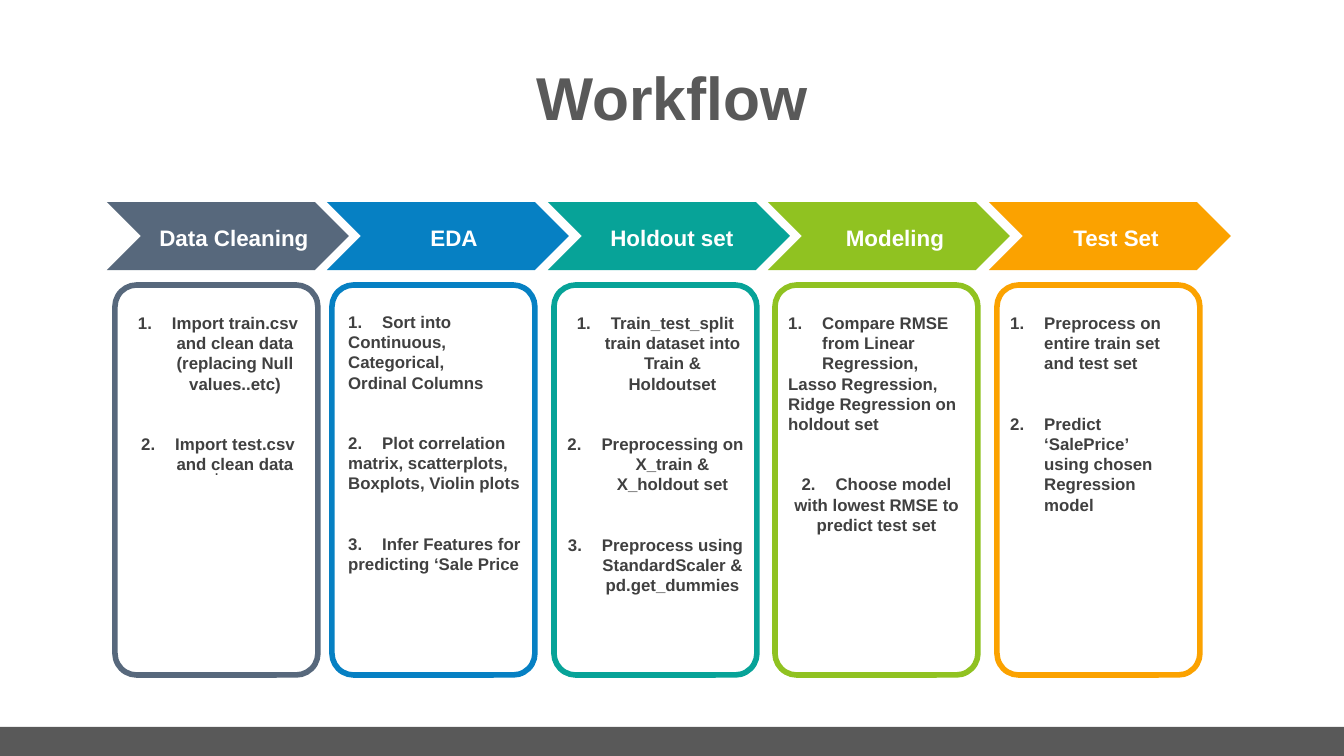
from dataclasses import dataclass

from lxml import etree
from pptx import Presentation
from pptx.dml.color import RGBColor
from pptx.enum.shapes import MSO_SHAPE
from pptx.enum.text import MSO_ANCHOR, PP_ALIGN
from pptx.oxml.ns import qn
from pptx.util import Emu, Pt

LEFT, CENTER = PP_ALIGN.LEFT, PP_ALIGN.CENTER
MIDDLE = MSO_ANCHOR.MIDDLE
RECTANGLE, CHEVRON, ROUNDED = MSO_SHAPE.RECTANGLE, MSO_SHAPE.CHEVRON, MSO_SHAPE.ROUNDED_RECTANGLE

EMU_PER_PX = 914400 / 134.4
PAGE_WIDTH, PAGE_HEIGHT = 1344, 756
FONT = "Arial"
WHITE, GREY, DARK = "FFFFFF", "595959", "404040"
NUMBER_INDENT = 34
ITEM_GAP = 21.6  # points, two text lines
CHEVRON_LEFT, CHEVRON_PITCH = 107, 220.4


@dataclass
class Item:
    text: str
    followers: tuple[str, ...] = ()  # lines that return to the left margin
    align: PP_ALIGN = CENTER


@dataclass
class Stage:
    name: str
    color: str
    card_left: int
    body_left: int
    body_top: int
    body_width: int
    items: list[Item]


STAGES = [
    Stage("Data Cleaning", "57687C", 115, 120, 306, 196, [
        Item("Import train.csv and clean data (replacing Null values..etc)"),
        Item("Import test.csv and clean data"),
    ]),
    Stage("EDA", "0680C3", 332, 335, 305, 203, [
        Item("Sort into", ("Continuous,", "Categorical,", "Ordinal Columns"), LEFT),
        Item("Plot correlation", ("matrix, scatterplots,", "Boxplots, Violin plots"), LEFT),
        Item("Infer Features for", ("predicting ‘Sale Price",), LEFT),
    ]),
    Stage("Holdout set ", "07A398", 554, 554, 306, 203, [
        Item("Train_test_split train dataset into Train & Holdoutset"),
        Item("Preprocessing on X_train & X_holdout set"),
        Item("Preprocess using StandardScaler & pd.get_dummies"),
    ]),
    Stage("Modeling", "90C221", 775, 775, 306, 203, [
        Item("Compare RMSE from Linear Regression,",
             ("Lasso Regression,", "Ridge Regression on holdout set"), LEFT),
        Item("Choose model", ("with lowest RMSE to predict test set",)),
    ]),
    Stage("Test Set", "FBA200", 997, 997, 306, 188, [
        Item("Preprocess on entire train set and test set", align=LEFT),
        Item("Predict ‘SalePrice’ using chosen Regression model", align=LEFT),
    ]),
]


def px(value: int) -> Emu:
    return Emu(round(value * EMU_PER_PX))


def rgb(color: str) -> RGBColor:
    return RGBColor.from_string(color)


def add_box(page, kind, left: int, top: int, width: int, height: int, fill: str, line: str = ""):
    box = page.shapes.add_shape(kind, px(left), px(top), px(width), px(height))
    box.shadow.inherit = False
    box.fill.solid()
    box.fill.fore_color.rgb = rgb(fill)
    if line:
        box.line.color.rgb = rgb(line)
        box.line.width = Pt(3)
    else:
        box.line.fill.background()
    return box


def add_frame(page, left: int, top: int, width: int, height: int):
    frame = page.shapes.add_textbox(px(left), px(top), px(width), px(height)).text_frame
    frame.word_wrap = True
    return frame


def write(para, text: str, size: float, color: str, align: PP_ALIGN, bold: bool = True) -> None:
    para.alignment = align
    span = para.add_run()
    span.text = text
    span.font.name = FONT
    span.font.size = Pt(size)
    span.font.bold = bold
    span.font.color.rgb = rgb(color)


def set_number(para, number: int) -> None:
    """Number a paragraph with a hanging indent."""
    properties = para._p.get_or_add_pPr()
    properties.set("marL", str(px(NUMBER_INDENT)))
    properties.set("indent", str(-px(NUMBER_INDENT)))
    etree.SubElement(properties, qn("a:buAutoNum"), type="arabicPeriod", startAt=str(number))


def add_items(page, stage: Stage) -> None:
    frame = add_frame(page, stage.body_left, stage.body_top, stage.body_width, 298)
    for number, item in enumerate(stage.items, 1):
        para = frame.paragraphs[0] if number == 1 else frame.add_paragraph()
        if number > 1:
            para.space_before = Pt(ITEM_GAP)
        write(para, item.text, 9, DARK, item.align)
        set_number(para, number)
        for text in item.followers:
            write(frame.add_paragraph(), text, 9, DARK, item.align)


def add_stage(page, index: int, stage: Stage) -> None:
    left = round(CHEVRON_LEFT + index * CHEVRON_PITCH)
    add_box(page, CHEVRON, left, 202, 242, 68, stage.color)
    card = add_box(page, ROUNDED, stage.card_left, 285, 203, 390, WHITE, stage.color)
    card.adjustments[0] = 0.107
    heading = add_frame(page, left + 33, 218, 188, 40)
    write(heading.paragraphs[0], stage.name, 12, WHITE, CENTER)
    add_items(page, stage)


def main() -> None:
    deck = Presentation()
    deck.slide_width, deck.slide_height = px(PAGE_WIDTH), px(PAGE_HEIGHT)
    page = deck.slides.add_slide(deck.slide_layouts[5])

    # Footer band
    add_box(page, RECTANGLE, 0, 727, PAGE_WIDTH, 29, GREY)

    # Title
    title = page.shapes.title
    title.left, title.top, title.width, title.height = px(0), px(58), px(PAGE_WIDTH), px(86)
    title.text_frame.vertical_anchor = MIDDLE
    para = title.text_frame.paragraphs[0]
    para.line_spacing = 0.9
    write(para, "Workflow", 32.4, GREY, CENTER)

    # Stages, each with a chevron, a card and its list
    for index, stage in enumerate(STAGES):
        add_stage(page, index, stage)

    # Small dot under the first list
    dot = add_frame(page, 120, 452, 198, 33)
    write(dot.paragraphs[0], ". ", 9, DARK, CENTER, bold=False)

    deck.save("out.pptx")


if __name__ == "__main__":
    main()
